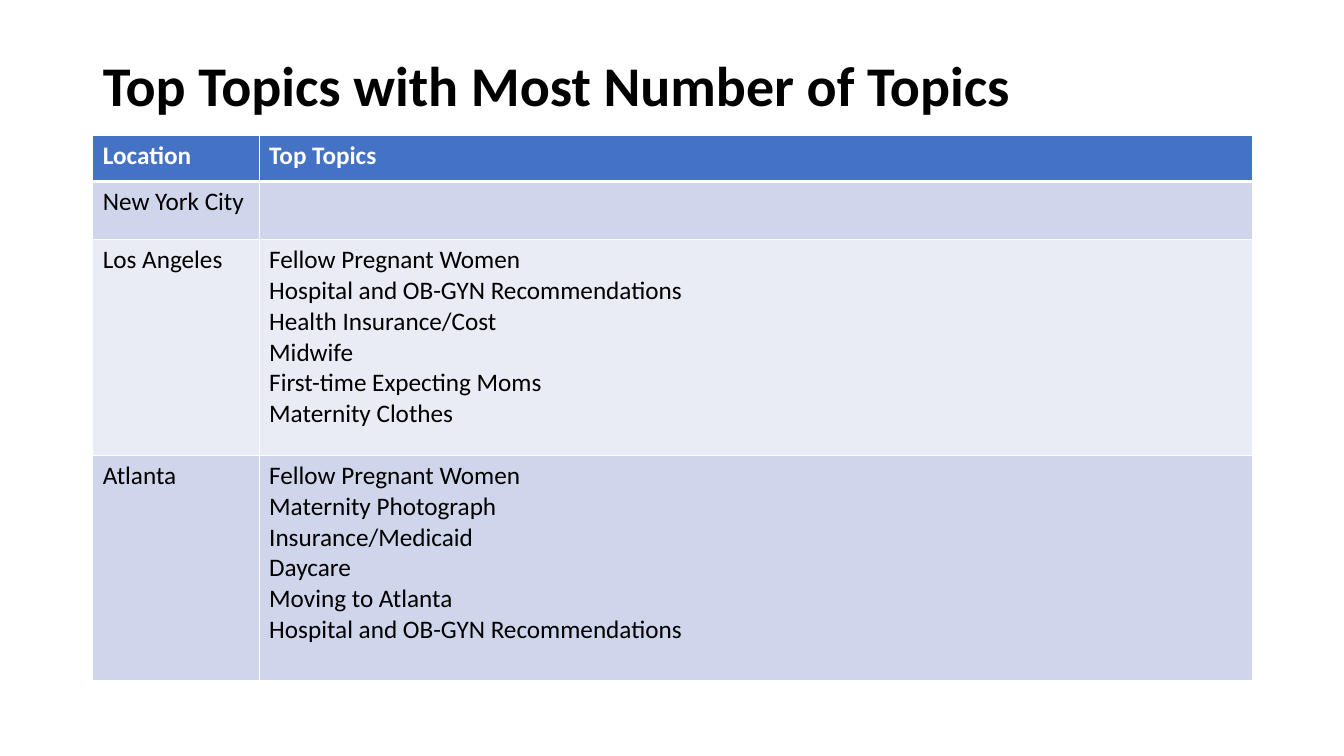
from lxml.etree import SubElement
from pptx import Presentation
from pptx.dml.color import RGBColor
from pptx.enum.text import MSO_ANCHOR, MSO_AUTO_SIZE, PP_ALIGN
from pptx.oxml.ns import qn
from pptx.util import Inches, Pt

BLACK = RGBColor(0x00, 0x00, 0x00)
WHITE = RGBColor(0xFF, 0xFF, 0xFF)
HEADER_BLUE = RGBColor(0x44, 0x72, 0xC4)
BAND_DARK = RGBColor(0xCF, 0xD5, 0xEA)
BAND_LIGHT = RGBColor(0xE9, 0xEB, 0xF5)

FONT = "Calibri"
SLIDE_WIDTH, SLIDE_HEIGHT = 13.33, 7.5
MARGIN = 0.92
CONTENT_WIDTH = 11.5
COLUMN_WIDTHS = [1.65, 9.85]
ROW_HEIGHTS = [0.46, 0.58, 2.14, 2.23]

TOPICS = [
    ("Location", ["Top Topics"]),
    ("New York City", []),
    ("Los Angeles", [
        "Fellow Pregnant Women",
        "Hospital and OB-GYN Recommendations",
        "Health Insurance/Cost",
        "Midwife",
        "First-time Expecting Moms",
        "Maternity Clothes",
    ]),
    ("Atlanta", [
        "Fellow Pregnant Women",
        "Maternity Photograph",
        "Insurance/Medicaid",
        "Daycare",
        "Moving to Atlanta",
        "Hospital and OB-GYN Recommendations",
    ]),
]


def add_span(para, text, size, color, bold):
    span = para.add_run()
    span.text = text
    span.font.name = FONT
    span.font.size = Pt(size)
    span.font.bold = bold
    span.font.color.rgb = color


def add_title(page, text, box):
    title = page.shapes.title
    title.left, title.top, title.width, title.height = map(Inches, box)
    frame = title.text_frame
    frame.word_wrap = True
    frame.auto_size = MSO_AUTO_SIZE.NONE
    frame.vertical_anchor = MSO_ANCHOR.MIDDLE
    para = frame.paragraphs[0]
    para.alignment = PP_ALIGN.LEFT
    para.line_spacing = 0.9
    add_span(para, text, 40, BLACK, True)


def set_borders(cell, widths):
    properties = cell._tc.get_or_add_tcPr()
    for side, width in widths.items():
        line = SubElement(properties, qn(f"a:ln{side}"), w=str(Pt(width)))
        fill = SubElement(line, qn("a:solidFill"))
        SubElement(fill, qn("a:srgbClr"), val=str(WHITE))


def fill_cell(cell, lines, row):
    header = row == 0
    set_borders(cell, {"L": 1, "R": 1, "T": 3 if row == 1 else 1, "B": 3 if header else 1})
    cell.fill.solid()
    cell.fill.fore_color.rgb = HEADER_BLUE if header else BAND_DARK if row % 2 else BAND_LIGHT
    frame = cell.text_frame
    frame.paragraphs[0].font.size = Pt(18)
    for index, text in enumerate(lines):
        para = frame.add_paragraph() if index else frame.paragraphs[0]
        add_span(para, text, 18, WHITE if header else BLACK, header)


def add_topic_table(page, box):
    table = page.shapes.add_table(len(TOPICS), len(COLUMN_WIDTHS), *map(Inches, box)).table
    for column, width in zip(table.columns, COLUMN_WIDTHS):
        column.width = Inches(width)
    for row, (location, topics) in enumerate(TOPICS):
        table.rows[row].height = Inches(ROW_HEIGHTS[row])
        fill_cell(table.cell(row, 0), [location], row)
        fill_cell(table.cell(row, 1), topics, row)


def main():
    deck = Presentation()
    deck.slide_width, deck.slide_height = Inches(SLIDE_WIDTH), Inches(SLIDE_HEIGHT)
    page = deck.slides.add_slide(deck.slide_layouts[5])
    add_title(page, "Top Topics with Most Number of Topics", (MARGIN, 0.4, CONTENT_WIDTH, 0.95))
    add_topic_table(page, (MARGIN, 1.34, CONTENT_WIDTH, sum(ROW_HEIGHTS)))
    deck.save("out.pptx")


if __name__ == "__main__":
    main()
